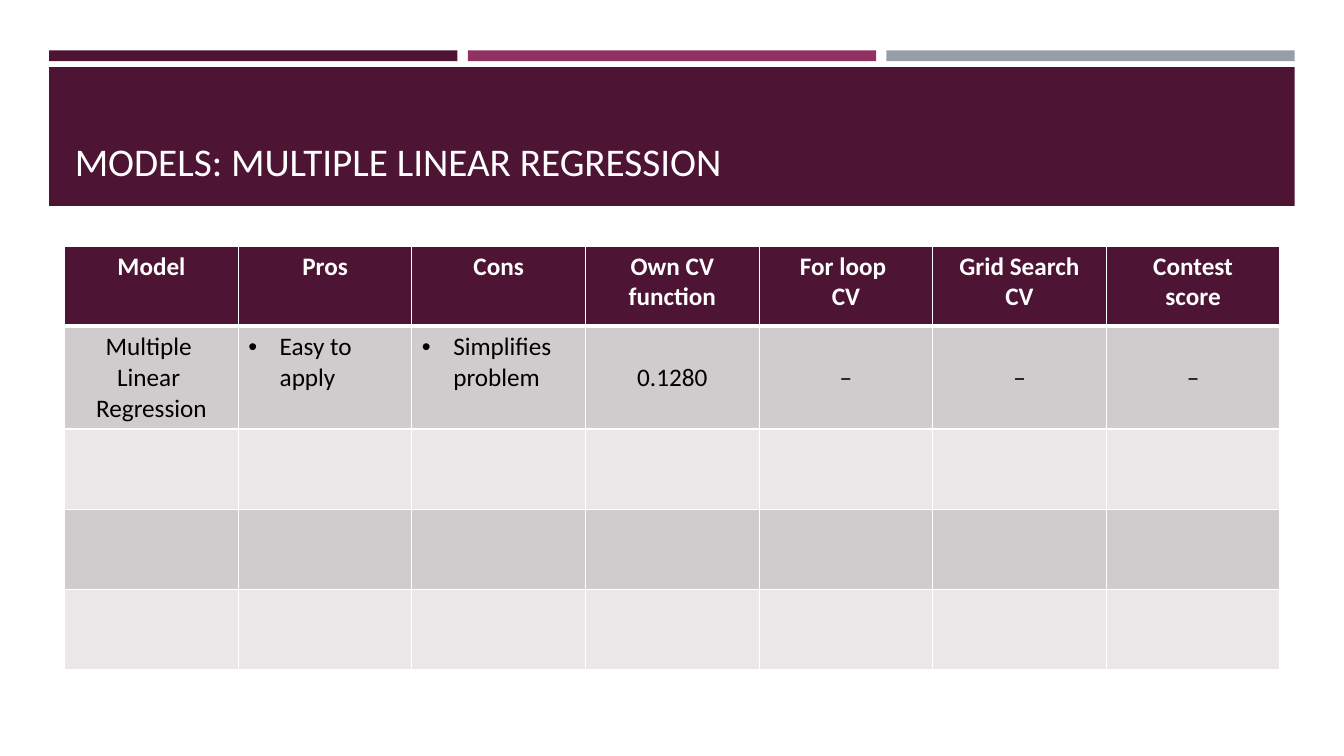
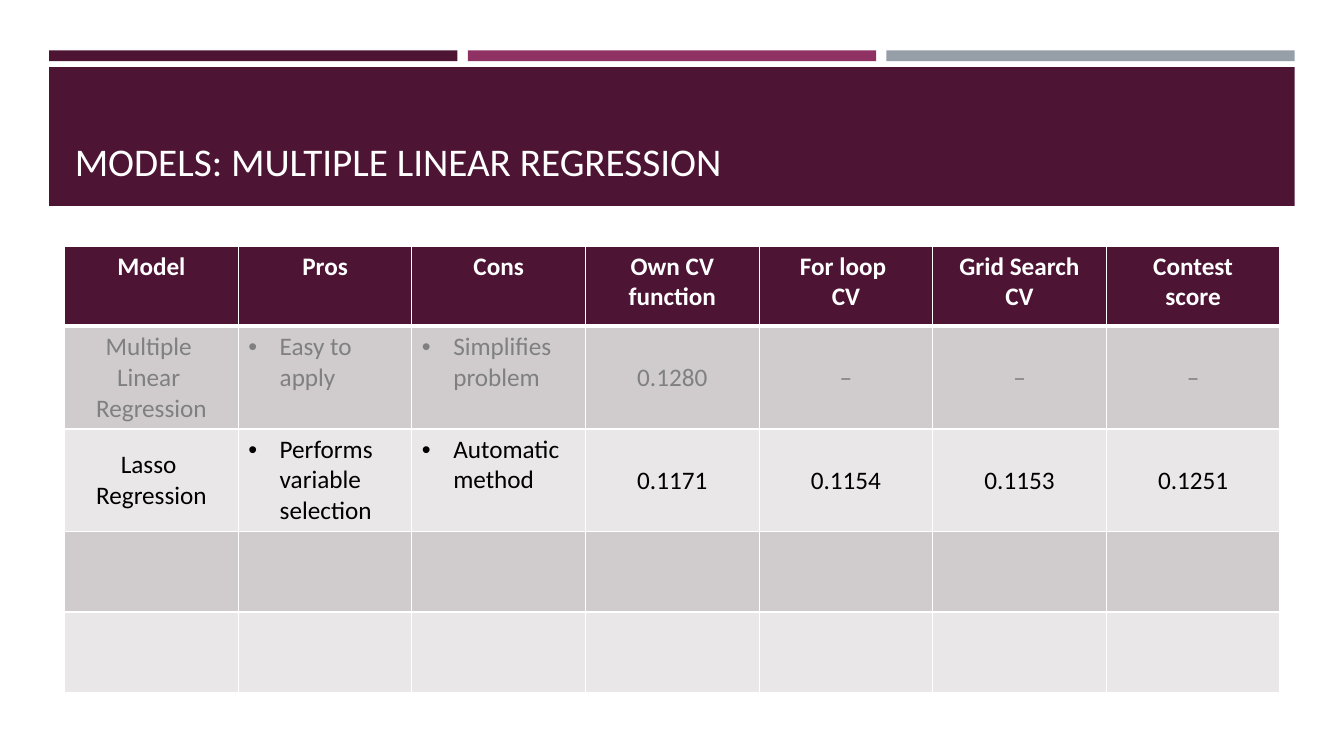
from lxml import etree
from pptx import Presentation
from pptx.dml.color import RGBColor
from pptx.enum import shapes, text
from pptx.oxml import ns
from pptx.util import Cm, Pt

PLUM = RGBColor(0x4D, 0x14, 0x34)
MAGENTA = RGBColor(0x90, 0x31, 0x63)
STEEL = RGBColor(0x96, 0x9F, 0xA7)
WHITE = RGBColor(0xFF, 0xFF, 0xFF)
BLACK = RGBColor(0x00, 0x00, 0x00)
GREY = RGBColor(0x80, 0x80, 0x80)
ROW_FILLS = [RGBColor(0xD0, 0xCC, 0xCE), RGBColor(0xE9, 0xE7, 0xE8)]

FONT = "Calibri"
LEFT, WIDTH = 1.63, 30.63
BAND_LEFT, BAND_WIDTH, STRIPE_WIDTH = 1.24, 31.39, 10.29
STRIPE_STEP = (BAND_WIDTH - STRIPE_WIDTH) / 2
ROW_COUNT, ROW_HEIGHT, FILLED_HEIGHT = 5, 2.02, 2.59
BULLET_COLUMNS = (1, 2)
BULLET_INDENT = Cm(0.79)

HEADINGS = ["Model", "Pros", "Cons", "Own CV function", "For loop \nCV",
            "Grid Search\nCV", "Contest\nscore"]
LINEAR = ["Multiple \nLinear \nRegression", "Easy to apply", "Simplifies problem",
          "0.1280", "–", "–", "–"]
LASSO = ["Lasso \nRegression", "Performs variable selection", "Automatic method",
         "0.1171", "0.1154", "0.1153", "0.1251"]
SLIDE_MODELS = [[(LINEAR, BLACK)], [(LINEAR, GREY), (LASSO, BLACK)]]


def style_text(paragraph, **formats):
    paragraph.font.name = FONT
    for name, value in formats.items():
        if name == "color":
            paragraph.font.color.rgb = value
        else:
            setattr(paragraph.font, name, value)


def draw_borders(cell, widths):
    properties = cell._tc.get_or_add_tcPr()
    for side, width in widths.items():
        line = etree.SubElement(properties, ns.qn(f"a:ln{side}"), w=str(Pt(width)))
        fill = etree.SubElement(line, ns.qn("a:solidFill"))
        etree.SubElement(fill, ns.qn("a:srgbClr"), val=str(WHITE))


deck = Presentation()
deck.slide_width, deck.slide_height = Cm(33.87), Cm(19.05)
title_only = deck.slide_layouts[5]
slides = [deck.slides.add_slide(title_only) for models in SLIDE_MODELS]

bands = [(BAND_LEFT + i * STRIPE_STEP, 1.27, STRIPE_WIDTH, 0.27, color)
         for i, color in enumerate([PLUM, MAGENTA, STEEL])]
bands.append((BAND_LEFT, 1.69, BAND_WIDTH, 3.5, PLUM))
for i, (left, top, width, height, color) in enumerate(bands):
    band = slides[0].shapes.add_shape(
        shapes.MSO_SHAPE.RECTANGLE, Cm(left), Cm(top), Cm(width), Cm(height))
    band.shadow.inherit = False
    band.fill.solid()
    band.fill.fore_color.rgb = color
    band.line.fill.background()
    band.element.nvSpPr.cNvPr.set("id", str(20 + i))
    title_only.shapes.element.insert(2 + i, band.element)

for slide, models in zip(slides, SLIDE_MODELS):
    title = slide.shapes.title
    title.left, title.top, title.width, title.height = Cm(LEFT), Cm(2.03), Cm(WIDTH), Cm(2.74)
    title.text = "MODELS: MULTIPLE LINEAR REGRESSION"
    title.text_frame.auto_size = text.MSO_AUTO_SIZE.NONE
    title.text_frame.vertical_anchor = text.MSO_ANCHOR.BOTTOM
    title.text_frame.paragraphs[0].alignment = text.PP_ALIGN.LEFT
    style_text(title.text_frame.paragraphs[0], size=Pt(28), color=WHITE)

    results = slide.shapes.add_table(
        ROW_COUNT, len(HEADINGS), Cm(LEFT), Cm(6.2), Cm(WIDTH), Cm(ROW_COUNT * ROW_HEIGHT)).table
    results.horz_banding = False
    contents = [(HEADINGS, WHITE)] + models
    contents += [([""] * len(HEADINGS), BLACK)] * (ROW_COUNT - len(contents))

    for r, (entries, color) in enumerate(contents):
        filled = 1 <= r <= len(models)
        results.rows[r].height = Cm(FILLED_HEIGHT if filled else ROW_HEIGHT)
        for c, entry in enumerate(entries):
            cell = results.cell(r, c)
            draw_borders(cell, {"L": 1, "R": 1, "T": 3 if r == 1 else 1, "B": 3 if r == 0 else 1})
            cell.fill.solid()
            cell.fill.fore_color.rgb = ROW_FILLS[(r - 1) % 2] if r else PLUM
            cell.text = entry
            bulleted = filled and c in BULLET_COLUMNS
            if filled and not bulleted:
                cell.vertical_anchor = text.MSO_ANCHOR.MIDDLE
            for paragraph in cell.text_frame.paragraphs:
                style_text(paragraph, size=Pt(18), bold=r == 0, color=color)
                if bulleted:
                    properties = paragraph._p.get_or_add_pPr()
                    properties.set("marL", str(BULLET_INDENT))
                    properties.set("indent", str(-BULLET_INDENT))
                    bullet_font = etree.Element(ns.qn("a:buFont"), typeface="Arial")
                    bullet = etree.Element(ns.qn("a:buChar"), char="•")
                    properties.insert(0, bullet_font)
                    properties.insert(1, bullet)
                else:
                    paragraph.alignment = text.PP_ALIGN.CENTER

deck.save("out.pptx")
